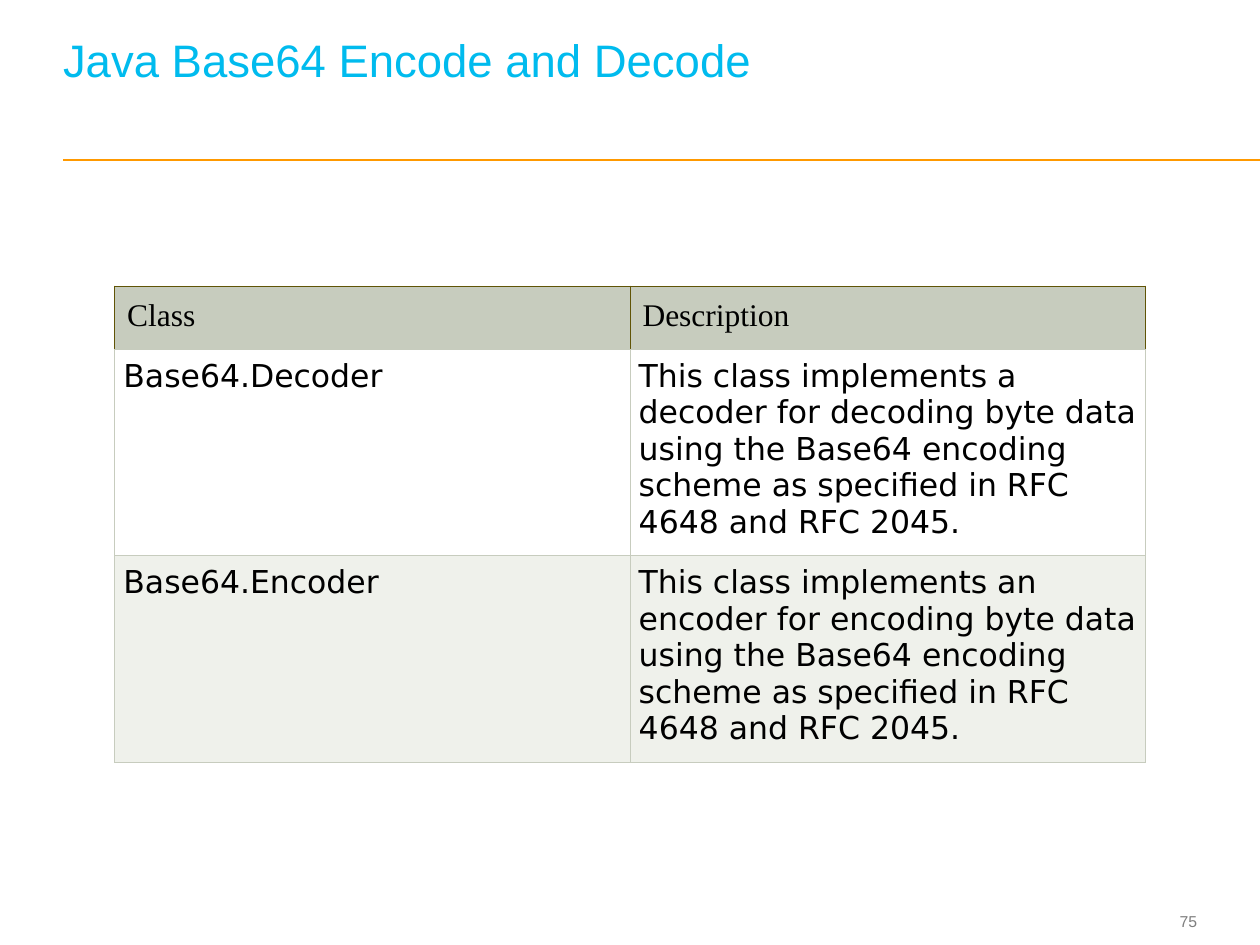
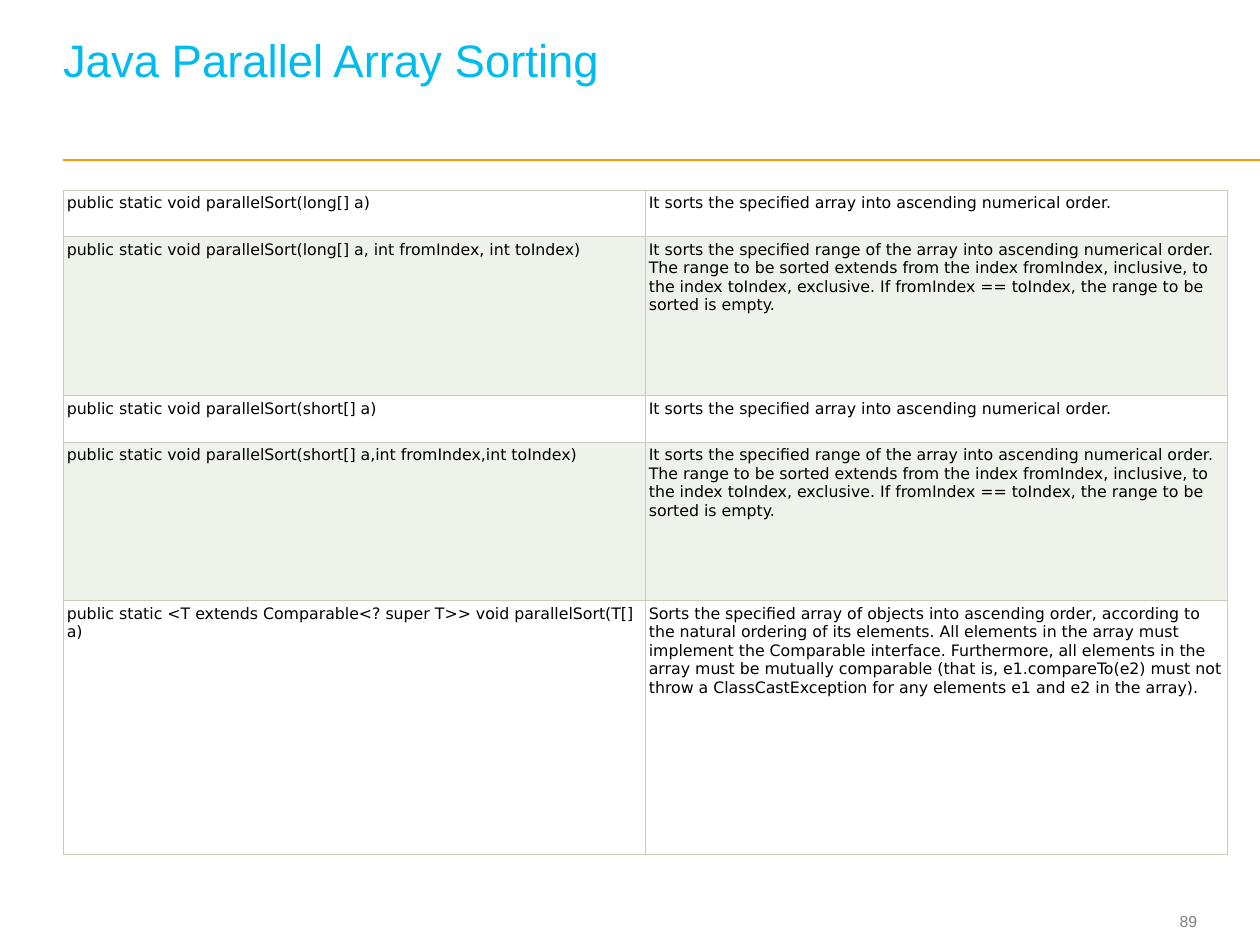
from dataclasses import dataclass
from pptx import Presentation
from pptx.dml.color import RGBColor as RGB
from pptx.enum.text import MSO_ANCHOR as Anchor, MSO_AUTO_SIZE as AutoSize, PP_ALIGN as Align
from pptx.oxml import parse_xml
from pptx.oxml.ns import nsdecls
from pptx.util import Inches, Pt


@dataclass(frozen=True)
class Theme:
    title: str = "00BBEE"
    rule: str = "FF9900"
    number: str = "7F7F7F"
    text: str = "000000"
    header: str = "C7CCBE"
    header_edge: str = "605406"
    bands: tuple = ("FFFFFF", "EFF1EB")
    sans: str = "Arial"
    serif: str = "Times New Roman"
    body: str = "DejaVu Sans"
    title_size: int = 26
    number_size: int = 9
    edge: float = 0.6


THEME = Theme()
WIDTH, HEIGHT, MARGIN = 10, 7.5, 0.5

SORT_ALL = "It sorts the specified array into ascending numerical order."
SORT_RANGE = (
    "It sorts the specified range of the array into ascending numerical order. "
    "The range to be sorted extends from the index fromIndex, inclusive, to the index "
    "toIndex, exclusive. If fromIndex == toIndex, the range to be sorted is empty."
)
SORT_OBJECTS = (
    "Sorts the specified array of objects into ascending order, according to the natural "
    "ordering of its elements. All elements in the array must implement the Comparable "
    "interface. Furthermore, all elements in the array must be mutually comparable (that is, "
    "e1.compareTo(e2) must not throw a ClassCastException for any elements e1 and e2 in the array)."
)
CODEC = (
    "This class implements {} for {} byte data using the Base64 encoding scheme "
    "as specified in RFC 4648 and RFC 2045."
)

SLIDES = [
    dict(
        title="Java Base64 Encode and Decode",
        number=75,
        header=("Class", "Description"),
        rows=[
            ("Base64.Decoder", CODEC.format("a decoder", "decoding")),
            ("Base64.Encoder", CODEC.format("an encoder", "encoding")),
        ],
        heights=(0.48, 1.58, 1.58),
        left=0.91, top=2.27, col=4.09, size=18, inset=0.07,
    ),
    dict(
        title="Java Parallel Array Sorting",
        number=89,
        header=None,
        rows=[
            ("public static void parallelSort(long[] a)", SORT_ALL),
            ("public static void parallelSort(long[] a, int fromIndex, int toIndex)", SORT_RANGE),
            ("public static void parallelSort(short[] a)", SORT_ALL),
            ("public static void parallelSort(short[] a,int fromIndex,int toIndex)", SORT_RANGE),
            ("public static <T extends Comparable<? super T>> void parallelSort(T[] a)", SORT_OBJECTS),
        ],
        heights=(0.37, 1.26, 0.37, 1.26, 2.01),
        left=MARGIN, top=1.51, col=4.62, size=9, inset=0.03,
    ),
]


def set_font(p, name, size, color):
    for r in p.runs:
        r.font.name, r.font.size, r.font.bold = name, Pt(size), False
        r.font.color.rgb = RGB.from_string(color)


def set_insets(target, inset):
    for side in ("left", "right", "top", "bottom"):
        setattr(target, f"margin_{side}", Inches(inset))


def set_borders(cell, color, bottom):
    props = cell._tc.get_or_add_tcPr()
    for side in "LRTB":
        shade = bottom if side == "B" else color
        props.append(parse_xml(
            f'<a:ln{side} {nsdecls("a")} w="{Pt(THEME.edge)}"><a:solidFill>'
            f'<a:srgbClr val="{shade}"/></a:solidFill></a:ln{side}>'
        ))


def add_title(s, text):
    sp = s.shapes.title
    sp.left, sp.top, sp.width, sp.height = map(Inches, (MARGIN, 0.19, 8.97, 0.86))
    tf = sp.text_frame
    tf.text = text
    tf.word_wrap, tf.auto_size = True, AutoSize.NONE
    tf.vertical_anchor = Anchor.BOTTOM
    set_insets(tf, 0)
    tf.margin_bottom = Pt(THEME.title_size)
    p = tf.paragraphs[0]
    p.alignment, p.line_spacing = Align.LEFT, Pt(THEME.title_size)
    set_font(p, THEME.sans, THEME.title_size, THEME.title)


def add_rule(s):
    line = s.shapes.add_connector(1, *map(Inches, (MARGIN, 1.27, WIDTH, 1.27)))
    line.line.color.rgb = RGB.from_string(THEME.rule)
    line.line.width = Pt(1)
    line._element.spPr.append(parse_xml(f'<a:effectLst {nsdecls("a")}/>'))


def add_number(s, number):
    width = 0.59
    box = s.shapes.add_textbox(*map(Inches, (WIDTH - MARGIN - width, 7.18, width, 0.27)))
    tf = box.text_frame
    tf.text = str(number)
    tf.word_wrap, tf.vertical_anchor = True, Anchor.MIDDLE
    set_insets(tf, 0)
    p = tf.paragraphs[0]
    p.alignment = Align.RIGHT
    set_font(p, THEME.sans, THEME.number_size, THEME.number)


def fill_cell(cell, text, font, size, inset, fill, edge):
    cell.text = text
    set_insets(cell, inset)
    set_borders(cell, edge, THEME.header)
    cell.fill.solid()
    cell.fill.fore_color.rgb = RGB.from_string(fill)
    set_font(cell.text_frame.paragraphs[0], font, size, THEME.text)


def add_grid(s, data):
    header, heights, size = data["header"], data["heights"], data["size"]
    box = (data["left"], data["top"], 2 * data["col"], sum(heights))
    table = s.shapes.add_table(len(heights), 2, *map(Inches, box)).table
    table.first_row = table.horz_banding = False
    for column in table.columns:
        column.width = Inches(data["col"])
    for row, height in zip(table.rows, heights):
        row.height = Inches(height)
    if header:
        for cell, text in zip(table.rows[0].cells, header):
            fill_cell(cell, text, THEME.serif, size, 0.1, THEME.header, THEME.header_edge)
    first = 1 if header else 0
    for i, texts in enumerate(data["rows"]):
        for cell, text in zip(table.rows[first + i].cells, texts):
            fill_cell(cell, text, THEME.body, size, data["inset"], THEME.bands[i % 2], THEME.header)


def main():
    prs = Presentation()
    prs.slide_width, prs.slide_height = Inches(WIDTH), Inches(HEIGHT)
    for data in SLIDES:
        s = prs.slides.add_slide(prs.slide_layouts[5])
        add_rule(s)
        add_number(s, data["number"])
        add_title(s, data["title"])
        add_grid(s, data)
    prs.save("out.pptx")


if __name__ == "__main__":
    main()
